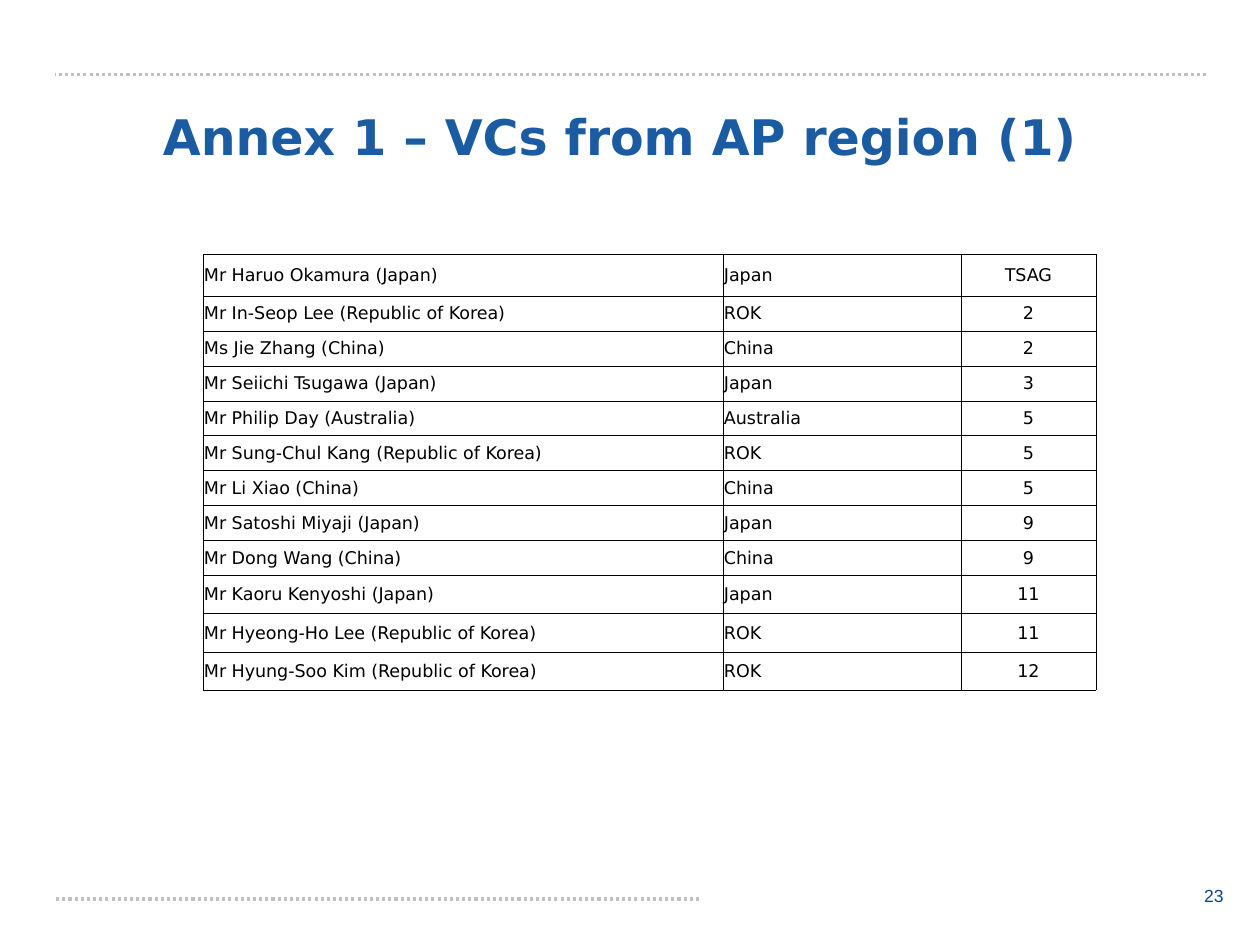
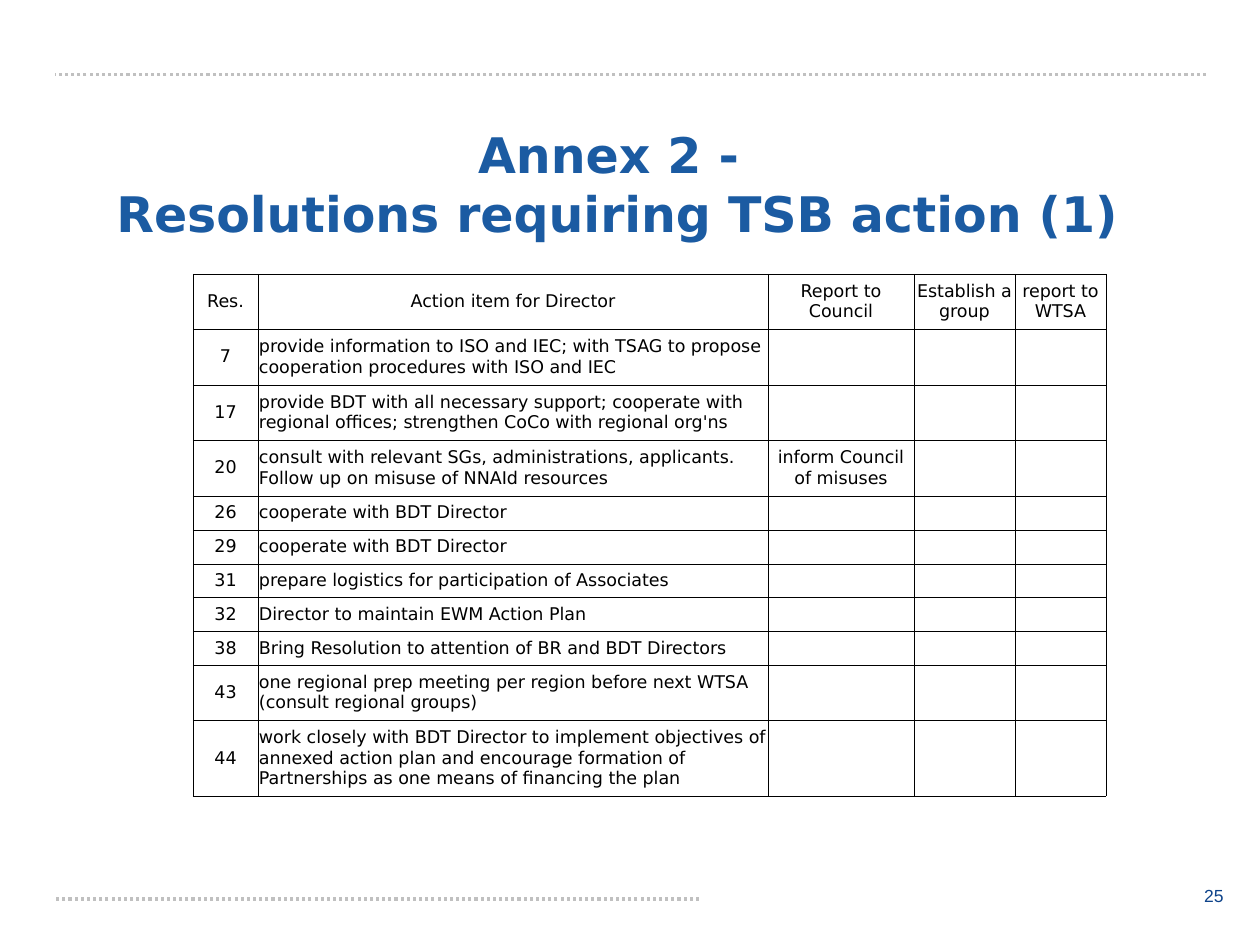
import pptx
import pptx.dml.color
import pptx.enum.dml
import pptx.enum.shapes
import pptx.enum.text
import pptx.oxml.ns
import pptx.util
from lxml import etree

ALIGN = pptx.enum.text.PP_ALIGN
ANCHOR = pptx.enum.text.MSO_ANCHOR

VICE_CHAIRS = [
    ("Mr Haruo Okamura (Japan)", "Japan", "TSAG"),
    ("Mr In-Seop Lee (Republic of Korea)", "ROK", "2"),
    ("Ms Jie Zhang (China)", "China", "2"),
    ("Mr Seiichi Tsugawa (Japan)", "Japan", "3"),
    ("Mr Philip Day (Australia)", "Australia", "5"),
    ("Mr Sung-Chul Kang (Republic of Korea)", "ROK", "5"),
    ("Mr Li Xiao (China)", "China", "5"),
    ("Mr Satoshi Miyaji (Japan)", "Japan", "9"),
    ("Mr Dong Wang (China)", "China", "9"),
    ("Mr Kaoru Kenyoshi (Japan)", "Japan", "11"),
    ("Mr Hyeong-Ho Lee (Republic of Korea)", "ROK", "11"),
    ("Mr Hyung-Soo Kim (Republic of Korea)", "ROK", "12"),
]

RESOLUTION_HEADER = ("Res.", "Action item for Director", "Report to Council",
                     "Establish a group", "report to WTSA")
RESOLUTIONS = [
    ("7", "provide information to ISO and IEC; with TSAG to propose "
          "cooperation procedures with ISO and IEC"),
    ("17", "provide BDT with all necessary support; cooperate with "
           "regional offices; strengthen CoCo with regional org'ns"),
    ("20", "consult with relevant SGs, administrations, applicants. "
           "Follow up on misuse of NNAId resources", "inform Council of misuses"),
    ("26", "cooperate with BDT Director"),
    ("29", "cooperate with BDT Director"),
    ("31", "prepare logistics for participation of Associates"),
    ("32", "Director to maintain EWM Action Plan"),
    ("38", "Bring Resolution to attention of BR and BDT Directors"),
    ("43", "one regional prep meeting per region before next WTSA "
           "(consult regional groups)"),
    ("44", "work closely with BDT Director to implement objectives of annexed "
           "action plan and encourage formation of Partnerships as one means "
           "of financing the plan"),
]


def px(n):
    return pptx.util.Emu(round(n * 914400 / 126))


def rgb(color):
    return pptx.dml.color.RGBColor.from_string(color)


class Deck:
    """Holds the shared style and the slide being filled."""
    BLUE, NAVY, GREY, BLACK, WHITE = "1B5BA2", "0E438A", "C0C0C0", "000000", "FFFFFF"
    BODY_FONT, NUMBER_FONT = "DejaVu Sans", "Arial"
    BODY_SIZE = 10

    def __init__(self):
        self.prs = pptx.Presentation()
        self.prs.slide_width, self.prs.slide_height = px(1260), px(945)

    def slide(self, number):
        """Start a slide with its two rules and page number."""
        self.s = self.prs.slides.add_slide(self.prs.slide_layouts[6])
        self.rule(699, 899)
        self.rule(1206, 75)
        self.page_number(number)

    def rule(self, right, y):
        line = self.s.shapes.add_connector(
            pptx.enum.shapes.MSO_CONNECTOR.STRAIGHT, px(right), px(y), px(55), px(y))
        line.line.color.rgb = rgb(self.GREY)
        line.line.width = pptx.util.Pt(1.75)
        line.line.dash_style = pptx.enum.dml.MSO_LINE.ROUND_DOT
        etree.SubElement(line._element.spPr, pptx.oxml.ns.qn("a:effectLst"))

    def text(self, p, text, align, size, color, font, bold=False):
        p.text = text
        p.alignment = align
        for r in p.runs:
            r.font.size = pptx.util.Pt(size)
            r.font.name = font
            r.font.bold = bold
            r.font.color.rgb = rgb(color)

    def page_number(self, number):
        sp = self.s.shapes.add_shape(pptx.enum.shapes.MSO_SHAPE.RECTANGLE,
                                     px(1125), px(879), px(111), px(37))
        sp.shadow.inherit = False
        sp.fill.solid()
        sp.fill.fore_color.rgb = rgb(self.WHITE)
        sp.line.fill.background()
        tf = sp.text_frame
        tf.word_wrap = False
        tf.vertical_anchor = ANCHOR.TOP
        self.text(tf.paragraphs[0], str(number), ALIGN.RIGHT, 10, self.NAVY,
                  self.NUMBER_FONT)

    def title(self, text, x, y, w, h):
        tf = self.s.shapes.add_textbox(px(x), px(y), px(w), px(h)).text_frame
        tf.word_wrap = True
        tf.vertical_anchor = ANCHOR.MIDDLE
        self.text(tf.paragraphs[0], text, ALIGN.CENTER, 28, self.BLUE,
                  self.BODY_FONT, bold=True)

    def table(self, x, y, widths, heights, rows, left_columns, header=False, spacing=1.0):
        """Draw a ruled table; left_columns are left aligned below any header."""
        tbl = self.s.shapes.add_table(len(rows), len(widths), px(x), px(y),
                                      px(sum(widths)), px(sum(heights))).table
        tbl.first_row = header
        tbl.horz_banding = False
        for column, w in zip(tbl.columns, widths):
            column.width = px(w)
        for i, (row, h, texts) in enumerate(zip(tbl.rows, heights, rows)):
            row.height = px(h)
            for j, cell in enumerate(row.cells):
                left = j in left_columns and not (header and i == 0)
                text = texts[j] if j < len(texts) else ""
                self.cell(cell, text, ALIGN.LEFT if left else ALIGN.CENTER, spacing)

    def cell(self, cell, text, align, spacing):
        cell.margin_left = cell.margin_right = px(1)
        cell.vertical_anchor = ANCHOR.MIDDLE
        p = cell.text_frame.paragraphs[0]
        self.text(p, text, align, self.BODY_SIZE, self.BLACK, self.BODY_FONT)
        p.line_spacing = spacing
        if not text:
            end = etree.SubElement(p._p, pptx.oxml.ns.qn("a:endParaRPr"))
            end.set("sz", str(self.BODY_SIZE * 100))
        self.borders(cell)
        cell.fill.background()

    def borders(self, cell):
        qn = pptx.oxml.ns.qn
        for side in "LRTB":
            ln = etree.SubElement(cell._tc.get_or_add_tcPr(), qn(f"a:ln{side}"),
                                  w=str(int(pptx.util.Pt(0.23))))
            fill = etree.SubElement(ln, qn("a:solidFill"))
            etree.SubElement(fill, qn("a:srgbClr"), val=self.BLACK)


def main():
    deck = Deck()

    deck.slide(23)
    deck.title("Annex 1 – VCs from AP region (1)", 84, 100, 1071, 72)
    deck.table(203, 254, [520, 238, 135], [42] + [35, 35, 35, 34] * 2 + [38, 39, 38],
               VICE_CHAIRS, left_columns=(0, 1), spacing=1.05)

    deck.slide(25)
    deck.title("Annex 2 - \vResolutions requiring TSB action (1)", 69, 118, 1096, 131)
    deck.table(193, 274, [65, 510, 146, 101, 91],
               [55, 56] * 2 + [34, 34, 33, 34, 34] + [54, 76],
               [RESOLUTION_HEADER] + RESOLUTIONS, left_columns=(1,), header=True)

    deck.prs.save("out.pptx")


if __name__ == "__main__":
    main()
